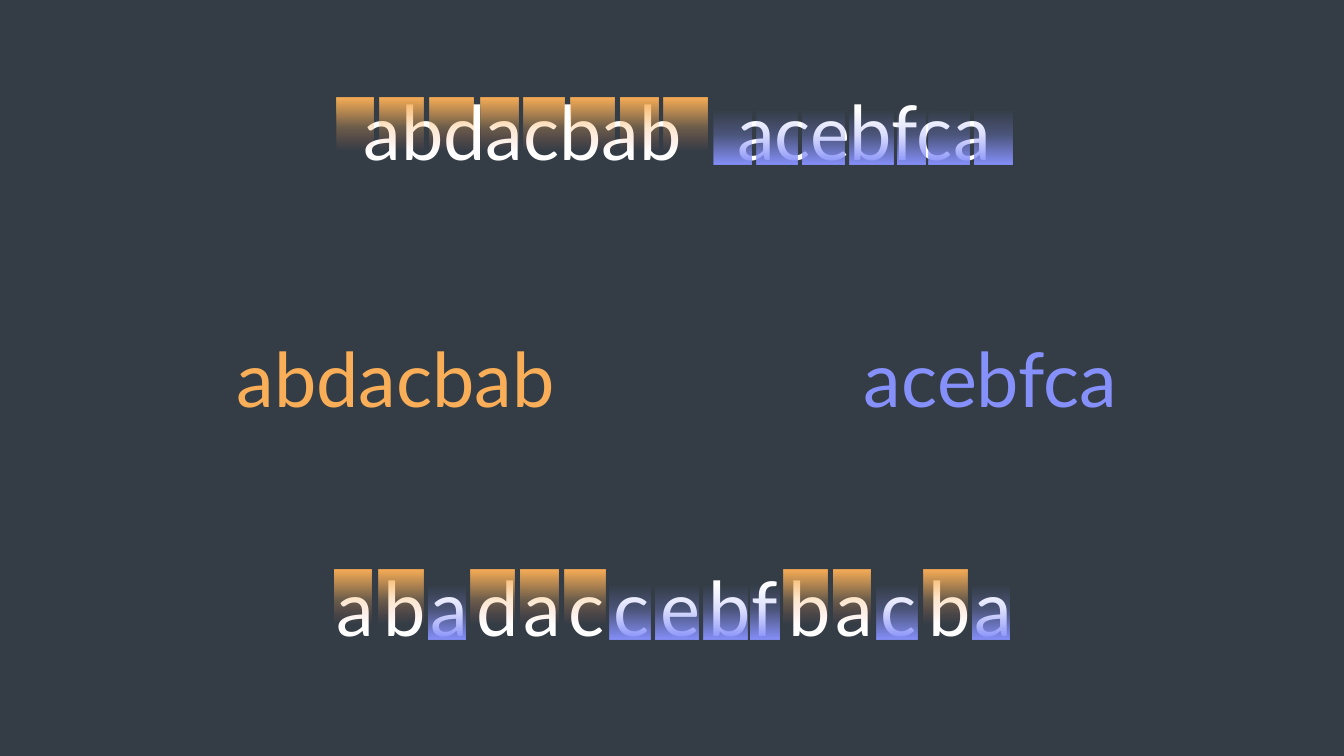
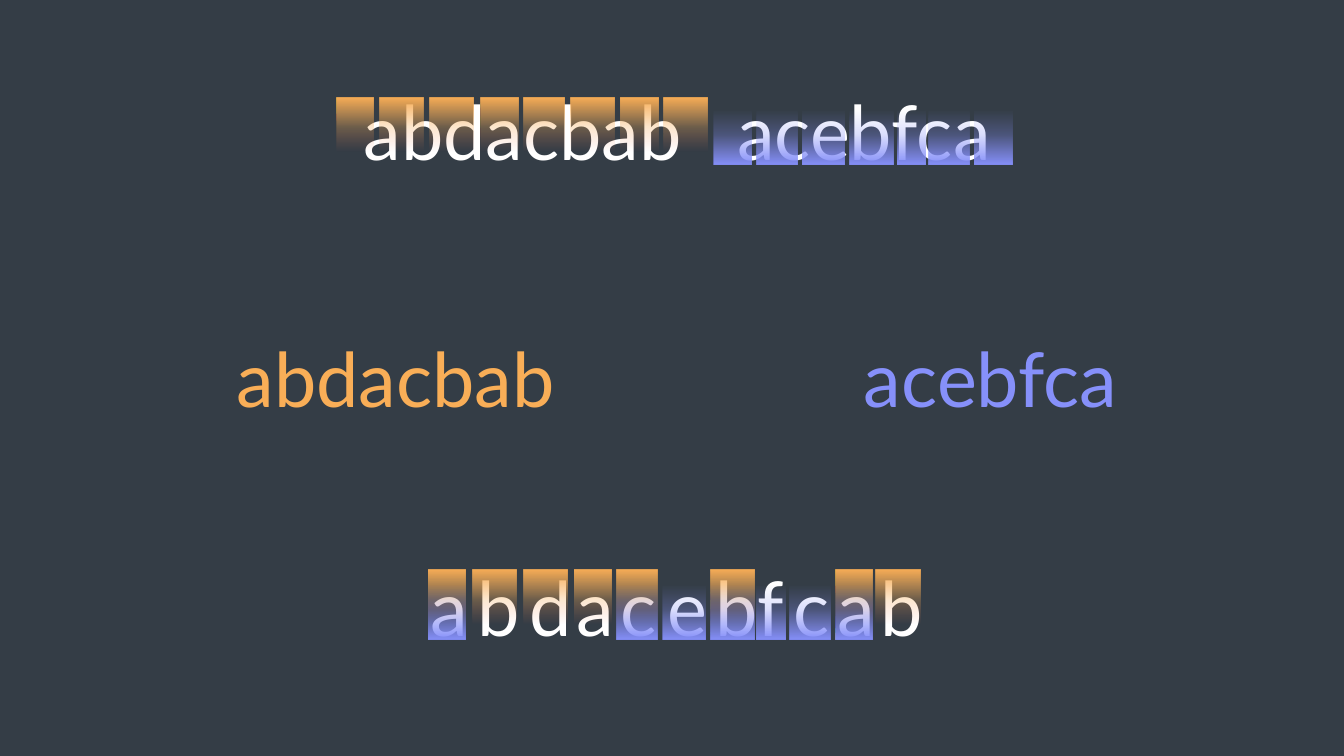
import dataclasses

import lxml.etree
import pptx
import pptx.dml.color
import pptx.enum.shapes
import pptx.enum.text
import pptx.oxml.ns
import pptx.util

Pt = pptx.util.Pt
qn = pptx.oxml.ns.qn


@dataclasses.dataclass(frozen=True)
class Theme:
    background: str = "343D46"
    white: str = "FFFFFF"
    orange: str = "F9AE57"
    violet: str = "8690FA"
    coral: str = "F97B57"
    font: str = "Lato"
    letter_size: float = 54


THEME = Theme()

# Lengths in points
SLIDE_WIDTH, SLIDE_HEIGHT = 960, 540
TEXT_HEIGHT = 72.7
LETTER_BOX = 37.4
STRIP_HEIGHT = 56
STRIP_WIDTHS = {"a": 26.8, "b": 31.4, "c": 29.3, "d": 31.4, "e": 30.2, "f": 20.6}
STRIP_INSETS = {"a": 5.6, "b": 3.7, "c": 4.3, "d": 3, "e": 4.1, "f": 8.2}

FIRST, SECOND = "abdacbab", "acebfca"
FIRST_WIDTH, SECOND_WIDTH = 306, 246.2
WORD_TOP, SPLIT_TOP, MERGED_TOP = 56.9, 233.6, 397

# Left edges of the strips over the two words
FIRST_STRIPS = (240.3, 271.4, 306.7, 343.4, 374.2, 407.5, 443.5, 473.8)
SECOND_STRIPS = (509.7, 540.5, 573.1, 607, 640.8, 663.1, 696.1)

# Merged words: letter, words it comes from (1, 2 or both), left edge of its box
MERGES = (
    (
        ("a", "1", 233.3), ("a", "2", 300.2), ("a", "1", 366.5),
        ("a", "1", 589.7), ("a", "2", 689), ("b", "1", 655.9),
        ("c", "2", 622.1), ("b", "1", 555.8), ("b", "2", 499),
        ("b", "1", 267.1), ("c", "1", 398.9), ("c", "2", 431.3),
        ("d", "1", 333.4), ("e", "2", 464.4), ("f", "2", 527.8),
    ),
    (
        ("a", "12", 300.2), ("a", "1", 404.6), ("a", "12", 591.1),
        ("b", "1", 622.1), ("c", "2", 559.4), ("b", "12", 504),
        ("b", "1", 334.1), ("c", "12", 436.3), ("d", "1", 370.8),
        ("e", "2", 469.4), ("f", "2", 532.1),
    ),
)


class Painter:
    """Holds the theme and the page being drawn."""

    def __init__(self, deck, theme):
        self.deck = deck
        self.theme = theme
        self.page = None

    def new_page(self):
        self.page = self.deck.slides.add_slide(self.deck.slide_layouts[6])
        fill = self.page.background.fill
        fill.solid()
        fill.fore_color.rgb = pptx.dml.color.RGBColor.from_string(self.theme.background)

    def text(self, content, left, top, width, color):
        box = self.page.shapes.add_textbox(Pt(left), Pt(top), Pt(width), Pt(TEXT_HEIGHT))
        frame = box.text_frame
        frame.word_wrap = True
        frame.auto_size = pptx.enum.text.MSO_AUTO_SIZE.SHAPE_TO_FIT_TEXT
        frame.text = content
        para = frame.paragraphs[0]
        para.alignment = pptx.enum.text.PP_ALIGN.CENTER
        span = para.runs[0]
        span.font.name = self.theme.font
        span.font.size = Pt(self.theme.letter_size)
        span.font.color.rgb = pptx.dml.color.RGBColor.from_string(color)

    def strip(self, letter, left, top, word):
        """Fading strip: the first word's glows from above, the second's from below."""
        shape = self.page.shapes.add_shape(
            pptx.enum.shapes.MSO_SHAPE.RECTANGLE,
            Pt(left), Pt(top), Pt(STRIP_WIDTHS[letter]), Pt(STRIP_HEIGHT))
        shape.shadow.inherit = False
        shape.line.fill.background()
        shape.fill.gradient()
        if word == "1":
            color, fade, angle = self.theme.orange, self.theme.coral, 270
        else:
            color, fade, angle = self.theme.violet, self.theme.violet, 90
        shape.fill.gradient_angle = angle

        # Gradient stops: position, colour and opacity in percent
        stops = ((0, color, 100), (38, color, 29), (69, fade, 0), (100, self.theme.coral, 0))
        stop_list = next(shape.element.iter(qn("a:gsLst")))
        for old_stop in list(stop_list):
            stop_list.remove(old_stop)
        for position, tint, opacity in stops:
            stop = lxml.etree.SubElement(stop_list, qn("a:gs"), pos=str(position * 1000))
            tone = lxml.etree.SubElement(stop, qn("a:srgbClr"), val=tint)
            lxml.etree.SubElement(tone, qn("a:alpha"), val=str(opacity * 1000))

    def marked_words(self):
        self.text(FIRST, 220.3, WORD_TOP, FIRST_WIDTH, self.theme.white)
        self.text(SECOND, 493.9, WORD_TOP, SECOND_WIDTH, self.theme.white)
        for letter, left in zip(SECOND, SECOND_STRIPS):
            self.strip(letter, left, 61.5, "2")
        for letter, left in zip(FIRST, FIRST_STRIPS):
            self.strip(letter, left, 69.5, "1")

    def split_words(self):
        self.text(FIRST, 129.6, SPLIT_TOP, FIRST_WIDTH, self.theme.orange)
        self.text(SECOND, 584.6, SPLIT_TOP, SECOND_WIDTH, self.theme.violet)

    def merged_word(self, letters):
        for letter, _, left in letters:
            self.text(letter, left, MERGED_TOP, LETTER_BOX, self.theme.white)
        # Strips lie over the letters, one for each word a letter comes from
        for word, top in (("1", 407), ("2", 400.5)):
            for letter, sources, left in letters:
                if word in sources:
                    self.strip(letter, left + STRIP_INSETS[letter], top, word)


def main():
    deck = pptx.Presentation()
    deck.slide_width, deck.slide_height = Pt(SLIDE_WIDTH), Pt(SLIDE_HEIGHT)
    painter = Painter(deck, THEME)
    for letters in MERGES:
        painter.new_page()
        painter.marked_words()
        painter.split_words()
        painter.merged_word(letters)
    deck.save("out.pptx")


if __name__ == "__main__":
    main()
